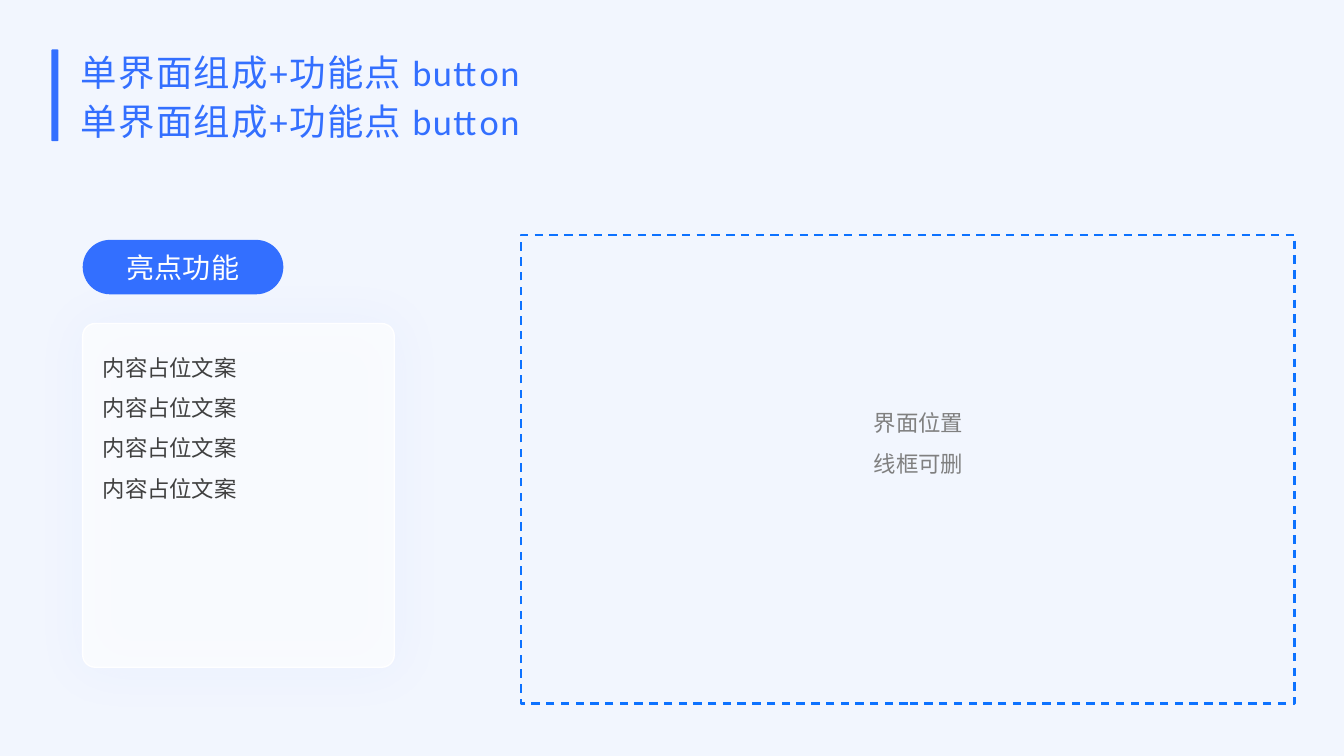
from lxml import etree
from pptx import Presentation
from pptx.dml.color import RGBColor
from pptx.enum.dml import MSO_LINE
from pptx.enum.shapes import MSO_SHAPE
from pptx.enum.text import MSO_ANCHOR, MSO_AUTO_SIZE, PP_ALIGN
from pptx.oxml.ns import qn
from pptx.util import Inches, Pt

RECTANGLE = MSO_SHAPE.RECTANGLE
ROUNDED = MSO_SHAPE.ROUNDED_RECTANGLE
DASH = MSO_LINE.DASH
TOP, MIDDLE = MSO_ANCHOR.TOP, MSO_ANCHOR.MIDDLE
NO_FIT, GROW = MSO_AUTO_SIZE.NONE, MSO_AUTO_SIZE.SHAPE_TO_FIT_TEXT
LEFT, CENTER = PP_ALIGN.LEFT, PP_ALIGN.CENTER

COLORS = {
    "background": "F2F6FE",
    "accent": "336FFF",
    "frame": "0D72FF",
    "white": "FFFFFF",
    "body": "404040",
    "hint": "808080",
}


class SlideBuilder:
    font_name = "Calibri"

    def __init__(self, slide):
        self.slide = slide

    def color(self, name):
        return RGBColor.from_string(COLORS[name])

    def background(self, name):
        fill = self.slide.background.fill
        fill.solid()
        fill.fore_color.rgb = self.color(name)

    def box(self, kind, left, top, width, height, fill=None, line=None,
            line_width=1, dash=None, corner=None):
        shape = self.slide.shapes.add_shape(
            kind, Inches(left), Inches(top), Inches(width), Inches(height))
        shape.shadow.inherit = False
        if corner is not None:
            shape.adjustments[0] = corner
        if fill:
            shape.fill.solid()
            shape.fill.fore_color.rgb = self.color(fill)
        else:
            shape.fill.background()
        if line:
            shape.line.color.rgb = self.color(line)
            shape.line.width = Pt(line_width)
            if dash:
                shape.line.dash_style = dash
        else:
            shape.line.fill.background()
        return shape

    def set_alpha(self, color_element, percent):
        alpha = etree.SubElement(color_element, qn("a:alpha"))
        alpha.set("val", str(percent * 1000))

    def card(self, left, top, width, height):
        shape = self.box(ROUNDED, left, top, width, height, "white", "white", corner=0.04)
        properties = shape.element.spPr
        self.set_alpha(properties.find(qn("a:solidFill")).find(qn("a:srgbClr")), 70)
        glow = etree.SubElement(properties.find(qn("a:effectLst")), qn("a:outerShdw"))
        glow.set("blurRad", str(Pt(37.4)))
        glow.set("algn", "ctr")
        glow.set("rotWithShape", "0")
        glow_color = etree.SubElement(glow, qn("a:srgbClr"))
        glow_color.set("val", COLORS["accent"])
        self.set_alpha(glow_color, 6)

    def text(self, left, top, width, height, paragraphs, size, color, spacing=1.0,
             align=LEFT, anchor=TOP, fit=GROW, wrap=True, tracking=None):
        shape = self.slide.shapes.add_textbox(
            Inches(left), Inches(top), Inches(width), Inches(height))
        frame = shape.text_frame
        frame.word_wrap = wrap
        frame.auto_size = fit
        frame.vertical_anchor = anchor
        for index, lines in enumerate(paragraphs):
            paragraph = frame.add_paragraph() if index else frame.paragraphs[0]
            paragraph.alignment = align
            paragraph.line_spacing = spacing
            for position, line in enumerate(lines):
                if position:
                    paragraph.add_line_break()
                run = paragraph.add_run()
                run.text = line
                run.font.name = self.font_name
                run.font.size = Pt(size)
                run.font.color.rgb = self.color(color)
                if tracking:
                    run.font._element.set("spc", str(tracking * 100))


def main():
    presentation = Presentation()
    presentation.slide_width = Inches(13.33)
    presentation.slide_height = Inches(7.5)
    builder = SlideBuilder(presentation.slides.add_slide(presentation.slide_layouts[6]))

    builder.background("background")
    builder.box(ROUNDED, 0.51, 0.49, 0.07, 0.91, "accent")
    builder.card(0.82, 3.21, 3.09, 3.41)
    builder.text(0.7, 0.43, 8.03, 1.01, [["单界面组成+功能点 button"] * 2], 26, "accent",
                 spacing=1.1, anchor=MIDDLE, fit=NO_FIT, tracking=1)
    builder.text(0.92, 3.33, 1.55, 2.07, [["内容占位文案"]] * 4, 16, "body",
                 spacing=1.5, wrap=False)
    builder.box(ROUNDED, 0.82, 2.38, 1.99, 0.54, "accent", corner=0.5)
    builder.text(0.82, 2.44, 1.99, 0.44, [["亮点功能"]], 20, "white", align=CENTER)
    builder.box(RECTANGLE, 5.17, 2.33, 7.67, 4.65, line="frame", line_width=1.5, dash=DASH)
    builder.text(8.57, 3.88, 1.14, 0.86, [["界面位置线框可删"]], 16, "hint", spacing=1.5)

    presentation.save("out.pptx")


if __name__ == "__main__":
    main()
